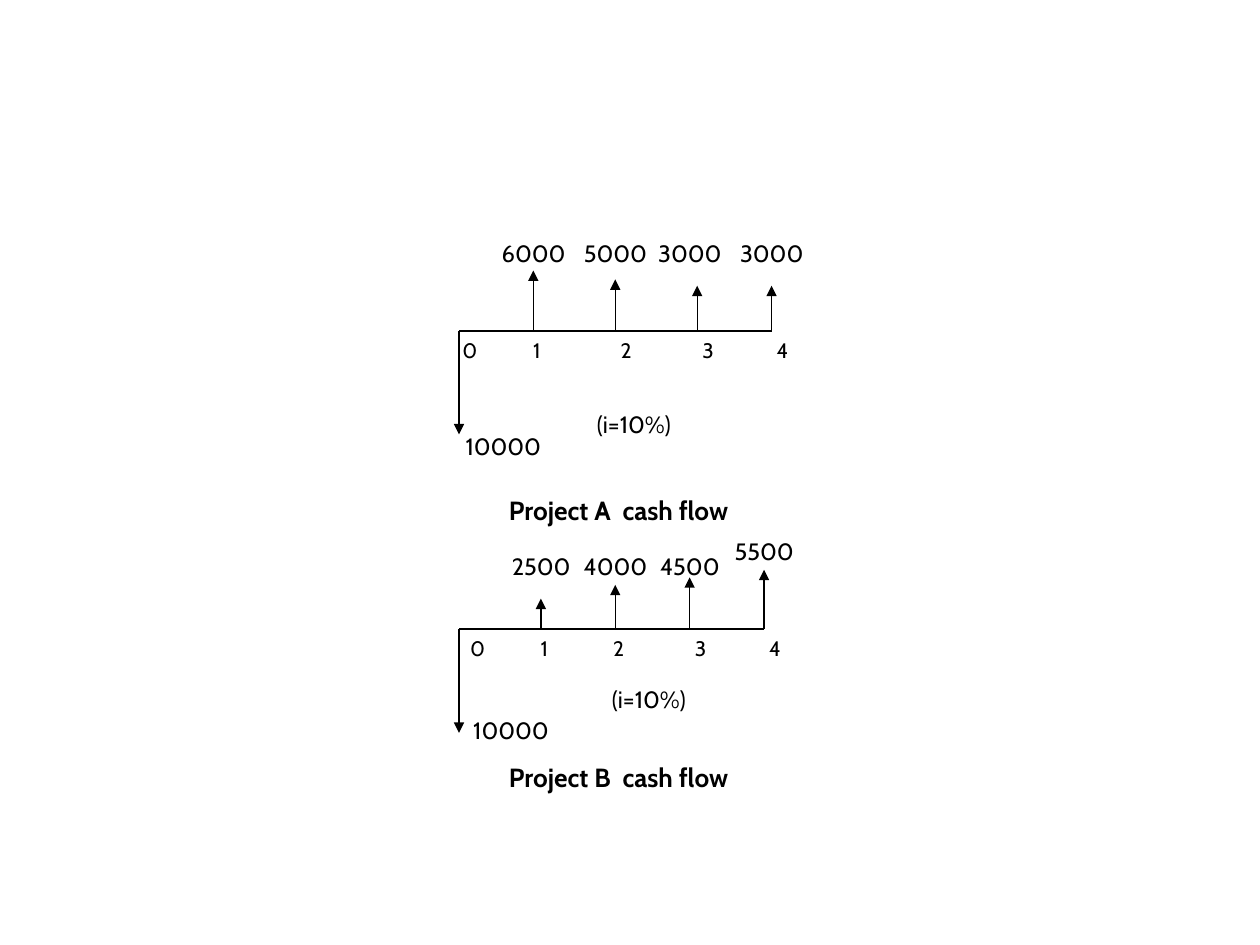
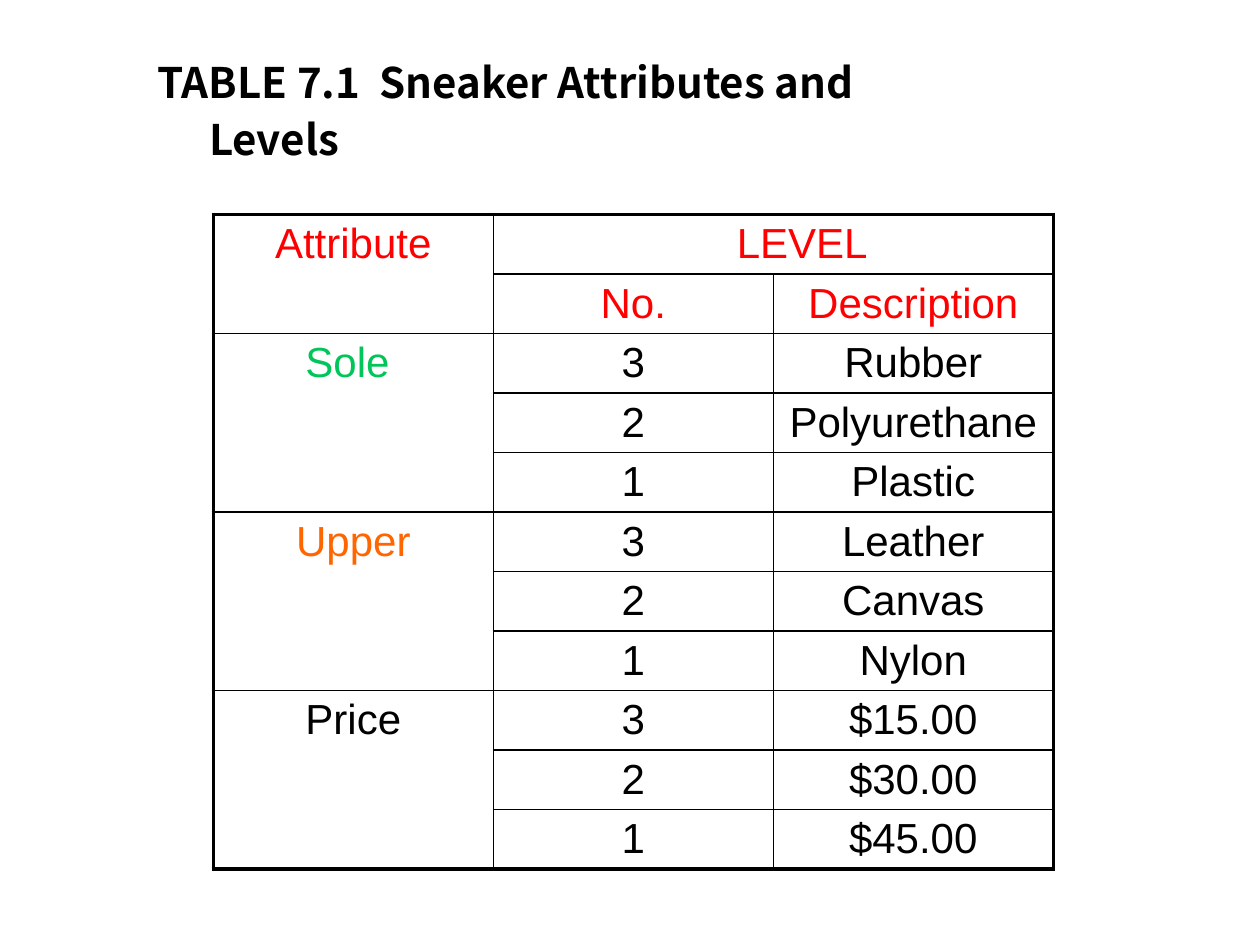
from lxml import etree
from pptx import Presentation
from pptx.dml.color import RGBColor
from pptx.enum import shapes, text
from pptx.oxml.ns import qn
from pptx.util import Pt

BLACK, RED, GREEN, ORANGE = "000000", "FF0000", "00C65A", "FF6600"
DIAGRAM_FONT, TITLE_FONT, TABLE_FONT = "Cabin", "Noto Sans CJK SC", "Arial"
ORIGIN_X = 262.3

# Flows: tick x, centre of number, amount, centre of amount, arrow height, top of amount
PROJECTS = [
    dict(title="Project A  cash flow", title_top=283, axis_y=189.2, zero_x=268.5,
         flows=[(304.8, 306.7, "6000", 304.9, 34.6, 138.2),
                (351.6, 357.8, "5000", 351.7, 29.5, 138.2),
                (398.4, 404.6, "3000", 394.2, 25.9, 138.2),
                (440.9, 447.1, "3000", 441, 25.9, 138.2)],
         outlay=("10000", 287.6, 248.4, 59), rate=("(i=10%)", 362.2, 231.8)),
    dict(title="Project B  cash flow", title_top=435.6, axis_y=359.4, zero_x=272.9,
         flows=[(309.1, 311, "2500", 309.2, 17.3, 316.8),
                (351.6, 353.5, "4000", 351.7, 25.2, 316.8),
                (394.1, 400.3, "4500", 394.2, 29.5, 316.8),
                (436.6, 442.8, "5500", 436.7, 33.8, 308.2)],
         outlay=("10000", 292, 410.4, 59.4), rate=("(i=10%)", 370.8, 388.8)),
]

TABLE_TITLE = [("TABLE 7.1  Sneaker Attributes and", 47), ("Levels", 76.4)]
ATTRIBUTES = [
    ("Sole ", GREEN, ["Rubber", "Polyurethane", "Plastic"]),
    ("Upper", ORANGE, ["Leather", "Canvas", "Nylon"]),
    ("Price", BLACK, ["$15.00", "$30.00", "$45.00"]),
]
HEADER_ROWS, COLUMNS = 2, 3
TABLE_LEFT, TABLE_TOP, COLUMN_WIDTH, ROW_HEIGHT = 121.9, 122.5, 160, 34.04
THIN, THICK = 1, 2.25


def rgb(color):
    return RGBColor.from_string(color)


def write(paragraph, words, *, size, font, color=BLACK, bold=False,
          align=text.PP_ALIGN.CENTER, indent=0, line_spacing=None, before=0):
    paragraph.alignment = align
    paragraph.line_spacing = line_spacing
    paragraph.space_before = Pt(before)
    if indent:
        paragraph._p.get_or_add_pPr().set("marL", str(Pt(indent)))
    run = paragraph.add_run()
    run.text = words
    run.font.size, run.font.name, run.font.bold = Pt(size), font, bold
    run.font.color.rgb = rgb(color)
    for script in ("a:ea", "a:cs"):
        etree.SubElement(run._r.rPr, qn(script)).set("typeface", font)


def add_label(slide, words, center_x, top, width=48, height=13, size=13.5, bold=False):
    """Diagram text centred on center_x."""
    box = slide.shapes.add_textbox(Pt(center_x - width / 2), Pt(top), Pt(width), Pt(height))
    frame = box.text_frame
    frame.word_wrap = False
    frame.margin_left = frame.margin_right = frame.margin_top = frame.margin_bottom = 0
    frame.vertical_anchor = text.MSO_ANCHOR.MIDDLE
    write(frame.paragraphs[0], words, size=size, font=DIAGRAM_FONT, bold=bold)


def add_line(slide, x1, y1, x2, y2, arrow=False):
    line = slide.shapes.add_connector(
        shapes.MSO_CONNECTOR.STRAIGHT, Pt(x1), Pt(y1), Pt(x2), Pt(y2))
    line.line.width = Pt(0.75)
    line.line.color.rgb = rgb(BLACK)
    if arrow:
        etree.SubElement(line.line._get_or_add_ln(), qn("a:tailEnd")).set("type", "triangle")
    etree.SubElement(line._element.spPr, qn("a:effectLst"))


def draw_project(slide, project):
    y, flows = project["axis_y"], project["flows"]
    number_top = y + 4.3
    add_line(slide, ORIGIN_X, y, flows[-1][0], y)

    amount, amount_x, amount_top, depth = project["outlay"]
    add_line(slide, ORIGIN_X, y, ORIGIN_X, y + depth, arrow=True)
    add_label(slide, amount, amount_x, amount_top)
    add_label(slide, "0", project["zero_x"], number_top, width=13, size=12)

    for period, (x, number_x, amount, amount_x, height, top) in enumerate(flows, 1):
        add_line(slide, x, y, x, y - height, arrow=True)
        add_label(slide, str(period), number_x, number_top, width=13, size=12)
        add_label(slide, amount, amount_x, top)

    add_label(slide, *project["rate"], width=72, height=21.6)
    add_label(slide, project["title"], 353.5, project["title_top"],
              width=136, height=17.3, size=15, bold=True)


def set_borders(cell, widths):
    """Widths in the order left, right, top, bottom."""
    properties = cell._tc.get_or_add_tcPr()
    for index, (side, width) in enumerate(zip("LRTB", widths)):
        edge = etree.Element(qn("a:ln" + side), w=str(Pt(width)))
        fill = etree.SubElement(edge, qn("a:solidFill"))
        etree.SubElement(fill, qn("a:srgbClr")).set("val", BLACK)
        properties.insert(index, edge)


def fill_cell(table, row, column, words, color=BLACK, rows=1, columns=1, indent=0):
    cell = table.cell(row, column)
    if rows * columns > 1:
        cell.merge(table.cell(row + rows - 1, column + columns - 1))
    write(cell.text_frame.paragraphs[0], words, size=24, font=TABLE_FONT,
          color=color, indent=indent)


def draw_attribute_table(slide):
    row_count = HEADER_ROWS + sum(len(levels) for _, _, levels in ATTRIBUTES)
    table = slide.shapes.add_table(
        row_count, COLUMNS, Pt(TABLE_LEFT), Pt(TABLE_TOP),
        Pt(COLUMN_WIDTH * COLUMNS), Pt(ROW_HEIGHT * row_count)).table
    table.first_row = table.horz_banding = False

    fill_cell(table, 0, 0, "Attribute", RED, rows=HEADER_ROWS)
    fill_cell(table, 0, 1, "LEVEL", RED, columns=2, indent=33)
    fill_cell(table, 1, 1, "No.", RED)
    fill_cell(table, 1, 2, "Description", RED)
    row = HEADER_ROWS
    for attribute, color, levels in ATTRIBUTES:
        fill_cell(table, row, 0, attribute, color, rows=len(levels))
        for offset, level in enumerate(levels):
            fill_cell(table, row + offset, 1, str(len(levels) - offset))
            fill_cell(table, row + offset, 2, level)
        row += len(levels)

    for row in range(row_count):
        table.rows[row].height = Pt(ROW_HEIGHT)
        for column in range(COLUMNS):
            cell = table.cell(row, column)
            cell.fill.background()
            cell.margin_top, cell.margin_bottom = Pt(3.6), Pt(1)
            bottom, right = row + 1, column + 1
            if cell.is_merge_origin:
                bottom, right = row + cell.span_height, column + cell.span_width
            outer = (column == 0, right == COLUMNS, row == 0, bottom == row_count)
            set_borders(cell, [THICK if edge else THIN for edge in outer])


def draw_table_title(slide):
    frame = slide.shapes.add_textbox(Pt(36), Pt(35.3), Pt(648), Pt(72)).text_frame
    frame.word_wrap = True
    frame.margin_top = 0
    for number, (words, indent) in enumerate(TABLE_TITLE):
        paragraph = frame.add_paragraph() if number else frame.paragraphs[0]
        write(paragraph, words, size=24, font=TITLE_FONT, bold=True, indent=indent,
              align=text.PP_ALIGN.LEFT, line_spacing=0.9, before=7 * number)


def main():
    deck = Presentation()
    deck.slide_width, deck.slide_height = Pt(720), Pt(540)
    blank = deck.slide_layouts[6]

    cash_flows = deck.slides.add_slide(blank)
    for project in PROJECTS:
        draw_project(cash_flows, project)

    sneakers = deck.slides.add_slide(blank)
    draw_table_title(sneakers)
    draw_attribute_table(sneakers)
    deck.save("out.pptx")


if __name__ == "__main__":
    main()
